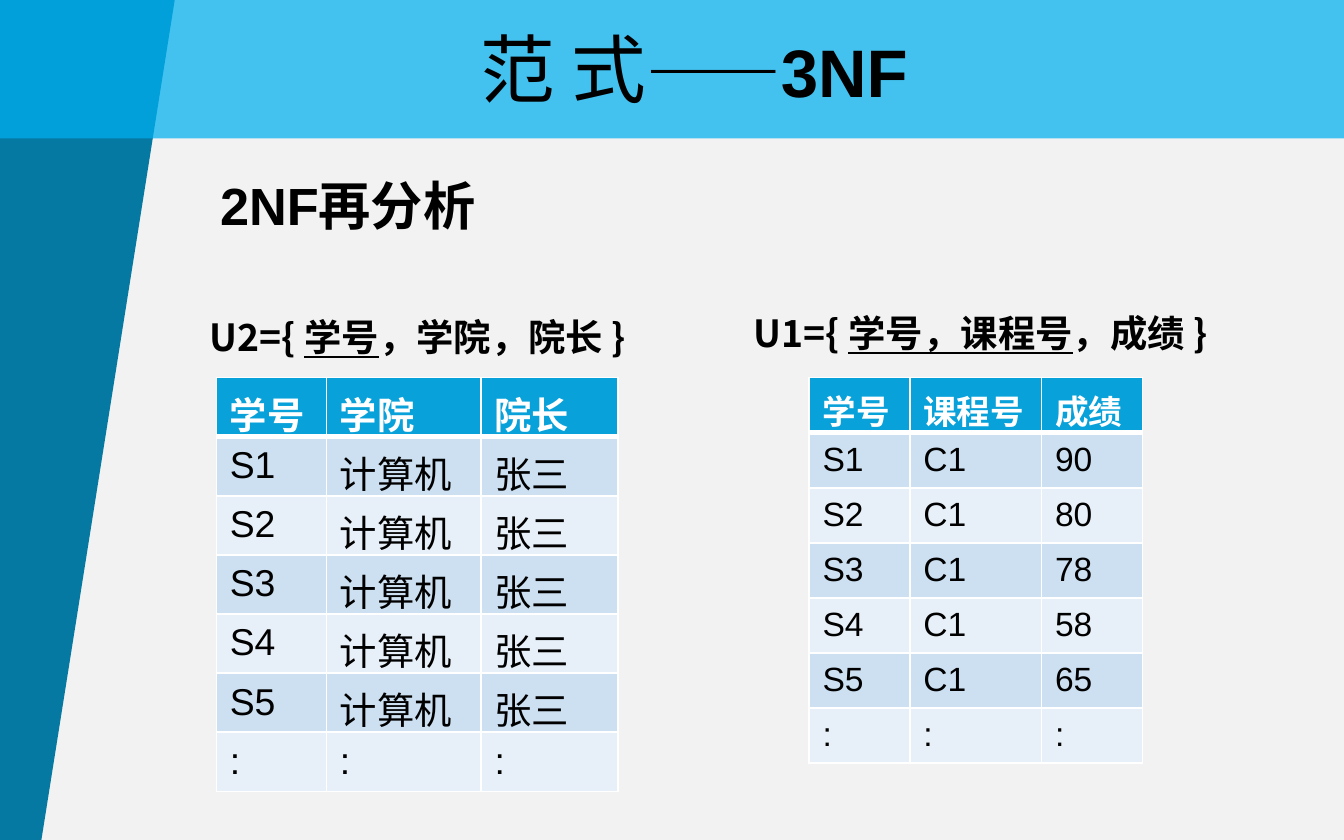
from dataclasses import dataclass

from lxml import etree
from pptx import Presentation
from pptx.dml.color import RGBColor
from pptx.enum.shapes import MSO_SHAPE
from pptx.enum.text import MSO_ANCHOR, PP_ALIGN
from pptx.oxml.ns import qn
from pptx.util import Inches, Pt

RECTANGLE = MSO_SHAPE.RECTANGLE
MIDDLE = MSO_ANCHOR.MIDDLE
CENTER, JUSTIFY = PP_ALIGN.CENTER, PP_ALIGN.JUSTIFY
LATIN, CJK = "Arial", "Noto Sans CJK SC"
BLACK, WHITE = "000000", "FFFFFF"
HEADER_BLUE, ROW_FILLS = "08A1D9", ("CCE0F1", "E7F0F8")


@dataclass
class Part:
    """A run of text with its own format."""
    text: str
    size: float
    bold: bool = True
    underline: bool = False
    font: str = LATIN
    color: str = BLACK


@dataclass
class Relation:
    left: float
    top: float
    widths: tuple[float, ...]
    row_height: float
    size: float
    rows: list[tuple[str, ...]]


def rgb(color: str) -> RGBColor:
    return RGBColor.from_string(color)


def write(paragraph, parts: list[Part], align=JUSTIFY) -> None:
    paragraph.alignment = align
    for part in parts:
        run = paragraph.add_run()
        run.text = part.text
        font = run.font
        font.size, font.bold = Pt(part.size), part.bold
        font.underline = part.underline
        font.color.rgb = rgb(part.color)
        font.name = part.font
        etree.SubElement(font._element, qn("a:ea"), typeface=CJK)


def paint(shape, color: str) -> None:
    shape.shadow.inherit = False
    shape.fill.solid()
    shape.fill.fore_color.rgb = rgb(color)
    shape.line.fill.background()


def add_text(slide, left: float, top: float, width: float, height: float,
             parts: list[Part]) -> None:
    frame = slide.shapes.add_textbox(
        Inches(left), Inches(top), Inches(width), Inches(height)).text_frame
    frame.word_wrap = True
    write(frame.paragraphs[0], parts)


def set_borders(cell, bottom: float) -> None:
    properties = cell._tc.get_or_add_tcPr()
    sides = {"lnL": 1, "lnR": 1, "lnT": 1, "lnB": bottom}
    for index, (side, width) in enumerate(sides.items()):
        line = etree.Element(qn(f"a:{side}"), w=str(Pt(width)))
        fill = etree.SubElement(line, qn("a:solidFill"))
        etree.SubElement(fill, qn("a:srgbClr"), val=WHITE)
        properties.insert(index, line)


def add_relation(slide, relation: Relation) -> None:
    rows = relation.rows
    table = slide.shapes.add_table(
        len(rows), len(relation.widths), Inches(relation.left),
        Inches(relation.top), Inches(sum(relation.widths)),
        Inches(relation.row_height * len(rows))).table
    for column, width in zip(table.columns, relation.widths):
        column.width = Inches(width)
    for r, values in enumerate(rows):
        header = r == 0
        table.rows[r].height = Inches(relation.row_height)
        for c, value in enumerate(values):
            cell = table.cell(r, c)
            cell.margin_left = cell.margin_right = Inches(0.1)
            cell.margin_top = Inches(0.06)
            cell.margin_bottom = 0  # leaves room for the tall CJK lines
            cell.fill.solid()
            cell.fill.fore_color.rgb = rgb(
                HEADER_BLUE if header else ROW_FILLS[(r - 1) % 2])
            set_borders(cell, 3 if header else 1)
            write(cell.text_frame.paragraphs[0],
                  [Part(value, relation.size, bold=header,
                        color=WHITE if header else BLACK)])


def add_schema(slide, left: float, top: float, width: float,
               name: str, key: str, others: str) -> None:
    add_text(slide, left, top, width, 0.44, [
        Part(f"{name}={{ ", 20, font=CJK),
        Part(key, 20, underline=True, font=CJK),
        Part(f"，{others} }}", 20, font=CJK)])


def main() -> None:
    deck = Presentation()
    deck.slide_width, deck.slide_height = Inches(10), Inches(6.25)
    slide = deck.slides.add_slide(deck.slide_layouts[5])
    slide.background.fill.solid()
    slide.background.fill.fore_color.rgb = rgb("F2F2F2")

    # Slanted side panel and translucent title band
    outline = slide.shapes.build_freeform(Inches(-0.01), Inches(6.29), scale=1.0)
    outline.add_line_segments([(Inches(x), Inches(y)) for x, y in (
        (-0.01, -0.01), (1.3, 0), (0.3, 6.3))])
    paint(outline.convert_to_shape(), "0679A3")
    band = slide.shapes.add_shape(
        RECTANGLE, Inches(-0.01), 0, Inches(10.01), Inches(1.03))
    paint(band, "00B0F0")
    band_color = band._element.spPr.find(qn("a:solidFill"))[0]
    etree.SubElement(band_color, qn("a:alpha"), val="72000")

    # Title, brought in front of the band
    title = slide.shapes.title
    slide.shapes._spTree.append(title._element)
    title.left, title.top = Inches(1.31), Inches(0.01)
    title.width, title.height = Inches(7.71), Inches(0.99)
    title.text_frame.vertical_anchor = MIDDLE
    write(title.text_frame.paragraphs[0],
          [Part("范 式", 40, bold=False), Part("——3NF", 36)], CENTER)

    # Heading and the two relation schemas
    add_text(slide, 1.54, 1.24, 2.36, 0.57, [Part("2NF再分析", 28)])
    add_schema(slide, 5.51, 2.26, 3.97, "U1", "学号，课程号", "成绩")
    add_schema(slide, 1.46, 2.29, 3.62, "U2", "学号", "学院，院长")

    # Relation contents
    students = [f"S{n}" for n in range(1, 6)]
    more = (":", ":", ":")
    scores = zip(students, ("90", "80", "78", "58", "65"))
    add_relation(slide, Relation(
        6.02, 2.81, (0.75, 0.98, 0.75), 0.41, 18,
        [("学号", "课程号", "成绩"),
         *((student, "C1", score) for student, score in scores), more]))
    add_relation(slide, Relation(
        1.61, 2.81, (0.82, 1.15, 1.02), 0.44, 20,
        [("学号", "学院", "院长"),
         *((student, "计算机", "张三") for student in students), more]))

    deck.save("out.pptx")


if __name__ == "__main__":
    main()
